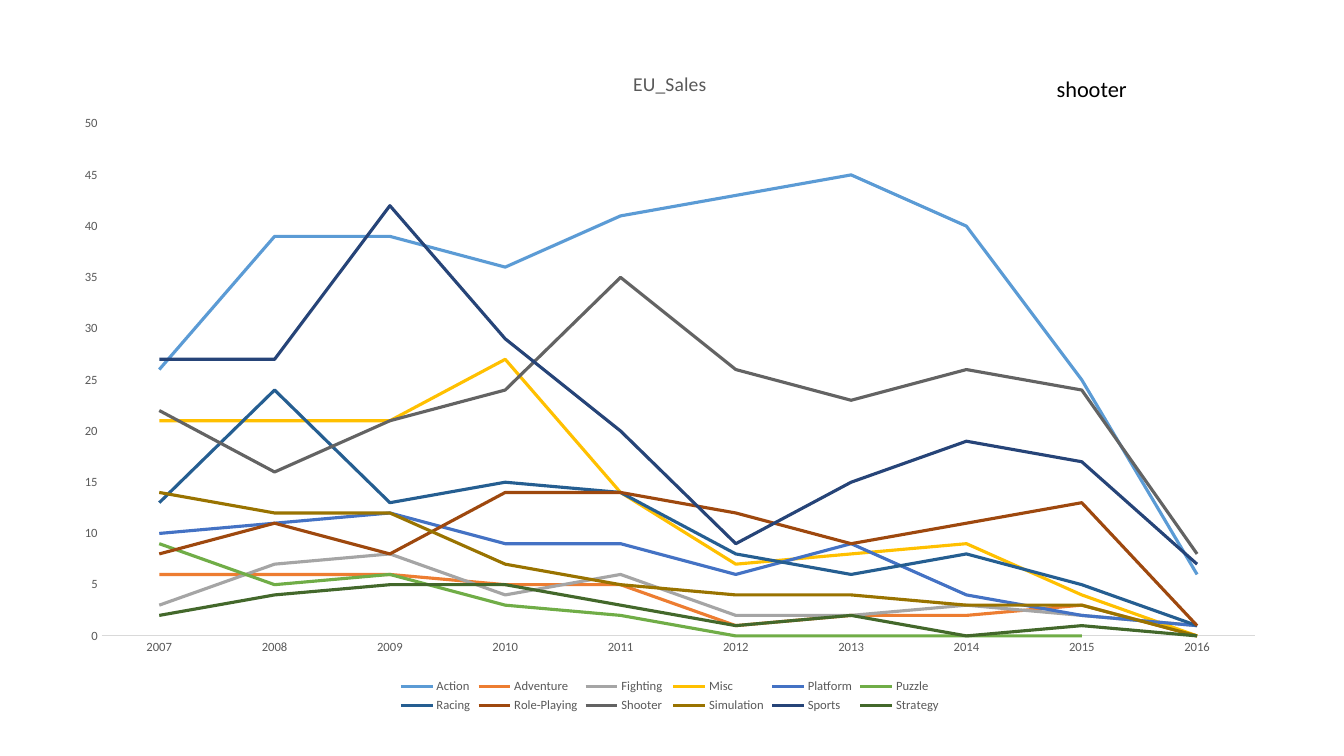
from dataclasses import dataclass

from pptx import Presentation
from pptx.chart.chart import Chart
from pptx.chart.data import CategoryChartData
from pptx.dml.color import RGBColor
from pptx.enum.chart import XL_CHART_TYPE, XL_LEGEND_POSITION, XL_MARKER_STYLE, XL_TICK_MARK
from pptx.slide import Slide
from pptx.text.text import Font
from pptx.util import Pt

LINE_CHART = XL_CHART_TYPE.LINE
LEGEND_BOTTOM = XL_LEGEND_POSITION.BOTTOM
NO_MARKER = XL_MARKER_STYLE.NONE
NO_TICK = XL_TICK_MARK.NONE

FONT_NAME = "Calibri"
GREY_TEXT = "595959"
BLANK_LAYOUT = 6
YEARS = [str(year) for year in range(2007, 2017)]


@dataclass(frozen=True)
class Genre:
    name: str
    color: str
    sales: tuple[int | None, ...]


GENRES = [
    Genre("Action", "5B9BD5", (26, 39, 39, 36, 41, 43, 45, 40, 25, 6)),
    Genre("Adventure", "ED7D31", (6, 6, 6, 5, 5, 1, 2, 2, 3, 0)),
    Genre("Fighting ", "A5A5A5", (3, 7, 8, 4, 6, 2, 2, 3, 2, 1)),
    Genre("Misc", "FFC000", (21, 21, 21, 27, 14, 7, 8, 9, 4, 0)),
    Genre("Platform", "4472C4", (10, 11, 12, 9, 9, 6, 9, 4, 2, 1)),
    Genre("Puzzle", "70AD47", (9, 5, 6, 3, 2, 0, 0, 0, 0, None)),
    Genre("Racing", "255E91", (13, 24, 13, 15, 14, 8, 6, 8, 5, 1)),
    Genre("Role-Playing", "9E480E", (8, 11, 8, 14, 14, 12, 9, 11, 13, 1)),
    Genre("Shooter", "636363", (22, 16, 21, 24, 35, 26, 23, 26, 24, 8)),
    Genre("Simulation", "997300", (14, 12, 12, 7, 5, 4, 4, 3, 3, 0)),
    Genre("Sports", "264478", (27, 27, 42, 29, 20, 9, 15, 19, 17, 7)),
    Genre("Strategy", "43682B", (2, 4, 5, 5, 3, 1, 2, 0, 1, 0)),
]


def rgb(color: str) -> RGBColor:
    return RGBColor.from_string(color)


def format_font(font: Font, size: float, color: str) -> None:
    font.name = FONT_NAME
    font.size = Pt(size)
    font.bold = False
    font.color.rgb = rgb(color)


def format_axes(chart: Chart) -> None:
    for axis in (chart.category_axis, chart.value_axis):
        axis.major_tick_mark = NO_TICK
        axis.minor_tick_mark = NO_TICK
        axis.has_major_gridlines = False
        format_font(axis.tick_labels.font, 9, GREY_TEXT)
    category_line = chart.category_axis.format.line
    category_line.color.rgb = rgb("D9D9D9")
    category_line.width = Pt(0.75)
    value_axis = chart.value_axis
    value_axis.format.line.fill.background()
    value_axis.minimum_scale = 0
    value_axis.maximum_scale = 50
    value_axis.major_unit = 5


def add_sales_chart(slide: Slide) -> None:
    data = CategoryChartData(number_format="0")
    data.categories = YEARS
    for genre in GENRES:
        data.add_series(genre.name, genre.sales)
    frame = slide.shapes.add_chart(
        LINE_CHART, Pt(43.2), Pt(34.56), Pt(870.48), Pt(477.36), data
    )
    chart = frame.chart
    format_font(chart.font, 10, "000000")

    chart.has_title = True
    title_run = chart.chart_title.text_frame.paragraphs[0].add_run()
    title_run.text = "EU_Sales"
    format_font(title_run.font, 14, GREY_TEXT)

    chart.has_legend = True
    chart.legend.position = LEGEND_BOTTOM
    chart.legend.include_in_layout = False
    format_font(chart.legend.font, 9, GREY_TEXT)

    format_axes(chart)
    plot = chart.plots[0]
    plot.vary_by_categories = False
    for series, genre in zip(plot.series, GENRES):
        series.smooth = False
        series.marker.style = NO_MARKER
        series.format.line.color.rgb = rgb(genre.color)
        series.format.line.width = Pt(2.25)


def add_genre_label(slide: Slide) -> None:
    label = slide.shapes.add_textbox(Pt(747.6), Pt(50.4), Pt(87.84), Pt(33.84))
    label.text_frame.word_wrap = True
    run = label.text_frame.paragraphs[0].add_run()
    run.text = "shooter"
    format_font(run.font, 16, "000000")


def main() -> None:
    presentation = Presentation()
    presentation.slide_width = Pt(960)
    presentation.slide_height = Pt(540)
    slide = presentation.slides.add_slide(presentation.slide_layouts[BLANK_LAYOUT])
    add_sales_chart(slide)
    add_genre_label(slide)
    presentation.save("out.pptx")


if __name__ == "__main__":
    main()
